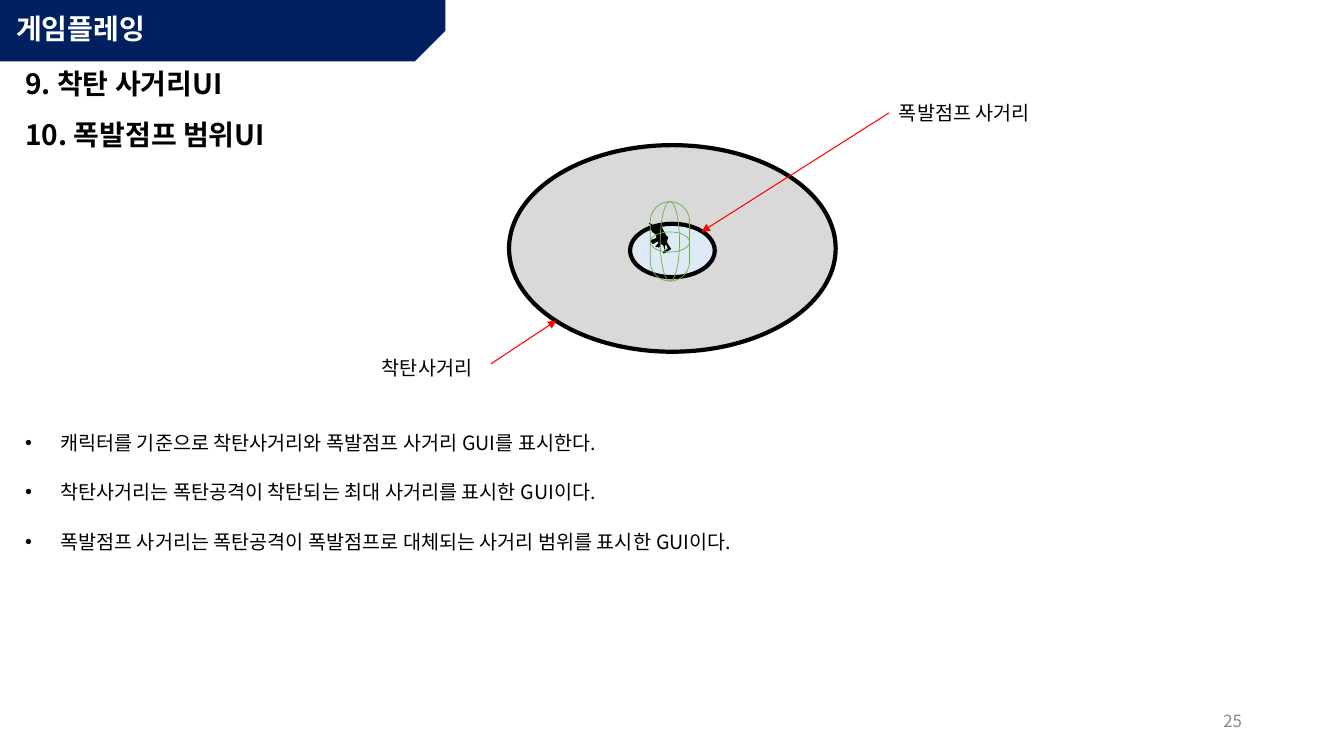
from dataclasses import dataclass
from typing import Optional

from lxml import etree
from pptx import Presentation
from pptx import util as u
from pptx.dml.color import RGBColor
from pptx.enum import shapes, text
from pptx.oxml import ns

WIDTH, HEIGHT = u.Inches(13.33), u.Inches(7.5)
SANS, LABEL_FONT = "Noto Sans CJK KR", "Arial"
NAVY = RGBColor(0x00, 0x20, 0x60)
WHITE = RGBColor(0xFF, 0xFF, 0xFF)
BLACK = RGBColor(0x00, 0x00, 0x00)
GREY = RGBColor(0x88, 0x88, 0x88)
RANGE_GREY = RGBColor(0xD9, 0xD9, 0xD9)
JUMP_BLUE = RGBColor(0xDE, 0xEB, 0xF7)
RED = RGBColor(0xFF, 0x00, 0x00)
GREEN = RGBColor(0x70, 0xAD, 0x47)
OVAL = shapes.MSO_SHAPE.OVAL
CAPSULE = shapes.MSO_SHAPE.ROUNDED_RECTANGLE


@dataclass(frozen=True)
class Box:
    """Percent shares of the slide's width and height."""
    left: float
    top: float
    width: float
    height: float

    def emu(self) -> tuple[int, int, int, int]:
        return (across(self.left), down(self.top),
                across(self.width), down(self.height))


@dataclass(frozen=True)
class Style:
    size: float
    color: RGBColor = BLACK
    bold: bool = False
    font: str = SANS


@dataclass(frozen=True)
class Figure:
    kind: shapes.MSO_SHAPE
    box: Box
    line: Optional[RGBColor]
    weight: float = 0
    fill: Optional[RGBColor] = None


@dataclass(frozen=True)
class Callout:
    words: str
    box: Box
    start: tuple[float, float]
    end: tuple[float, float]


HEADER = Figure(shapes.MSO_SHAPE.SNIP_1_RECTANGLE,
                Box(0, 0, 33.15, 8.13), None, fill=NAVY)
RANGES = [
    Figure(OVAL, Box(37.88, 19.2, 24.3, 27.33), BLACK, 3, RANGE_GREY),
    Figure(OVAL, Box(46.88, 29.6, 6.3, 7.07), BLACK, 3, JUMP_BLUE),
]
COLLIDER = [
    Figure(CAPSULE, Box(48.38, 26.67, 2.93, 10.53), GREEN, 0.5),
    Figure(OVAL, Box(49.13, 26.67, 1.43, 10.53), GREEN, 0.5),
    Figure(OVAL, Box(48.38, 30.67, 2.93, 2.67), GREEN, 0.5),
]
CALLOUTS = [
    Callout("폭발점프 사거리", Box(66.15, 12.67, 12.23, 4.53),
            (66.15, 14.93), (52.2, 30.67)),
    Callout("착탄사거리", Box(27.68, 46.4, 8.85, 4.53),
            (36.53, 48.13), (41.4, 42.4)),
]
HEADINGS = ["9. 착탄 사거리UI", "10. 폭발점프 범위UI"]
HEADING_TOP, HEADING_STEP = 5.87, 6.8
BULLETS = [
    "캐릭터를 기준으로 착탄사거리와 폭발점프 사거리 GUI를 표시한다.",
    "착탄사거리는 폭탄공격이 착탄되는 최대 사거리를 표시한 GUI이다.",
    "폭발점프 사거리는 폭탄공격이 폭발점프로 대체되는 사거리 범위를 표시한 GUI이다.",
]
SOLDIER = [
    (6.49, 2.43), (6.48, 2.42), (6.52, 2.37), (6.49, 2.34), (6.46, 2.34),
    (6.42, 2.32), (6.42, 2.29), (6.38, 2.28), (6.43, 2.28), (6.46, 2.26),
    (6.5, 2.25), (6.59, 2.31), (6.61, 2.31), (6.62, 2.36), (6.69, 2.4),
    (6.67, 2.44), (6.65, 2.47), (6.64, 2.46), (6.65, 2.44), (6.67, 2.41),
    (6.63, 2.38), (6.62, 2.4), (6.64, 2.43), (6.61, 2.4), (6.58, 2.4),
    (6.58, 2.44), (6.55, 2.45), (6.56, 2.41), (6.54, 2.39), (6.51, 2.44),
]


def across(share: float) -> int:
    return round(WIDTH * share / 100)


def down(share: float) -> int:
    return round(HEIGHT * share / 100)


def write(p, words: str, style: Style) -> None:
    r = p.add_run()
    r.text = words
    r.font.size = u.Pt(style.size)
    r.font.bold = style.bold
    r.font.name = style.font
    r.font.color.rgb = style.color
    etree.SubElement(r.font._element, ns.qn("a:ea"), typeface=SANS)


def add_text(slide, box: Box, lines: list[str], style: Style, wrap: bool = True,
             spacing: float = 1, indent: float = 0, bullet: bool = False):
    tf = slide.shapes.add_textbox(*box.emu()).text_frame
    tf.word_wrap = wrap
    for i, words in enumerate(lines):
        p = tf.paragraphs[0] if i == 0 else tf.add_paragraph()
        props = p._p.get_or_add_pPr()
        props.set("marL", str(u.Inches(indent)))
        if bullet:
            props.set("indent", str(u.Inches(-0.35)))
            etree.SubElement(props, ns.qn("a:buFont"), typeface="Arial")
            etree.SubElement(props, ns.qn("a:buChar"), char="•")
        p.line_spacing = spacing
        if i:
            p.space_before = u.Pt(10)
        write(p, words, style)
    return tf


def paint(sp, fill: Optional[RGBColor], line: Optional[RGBColor],
          weight: float) -> None:
    sp.shadow.inherit = False
    if fill is None:
        sp.fill.background()
    else:
        sp.fill.solid()
        sp.fill.fore_color.rgb = fill
    if line is None:
        sp.line.fill.background()
    else:
        sp.line.color.rgb = line
        sp.line.width = u.Pt(weight)


def add_figure(slide, figure: Figure):
    sp = slide.shapes.add_shape(figure.kind, *figure.box.emu())
    if figure.kind != OVAL:
        sp.adjustments[0] = 0.5
    paint(sp, figure.fill, figure.line, figure.weight)
    return sp


def add_callout(slide, callout: Callout) -> None:
    (x1, y1), (x2, y2) = callout.start, callout.end
    arrow = slide.shapes.add_connector(shapes.MSO_CONNECTOR.STRAIGHT,
                                       across(x1), down(y1), across(x2), down(y2))
    arrow.line.color.rgb = RED
    arrow.line.width = u.Pt(0.75)
    etree.SubElement(arrow.line._get_or_add_ln(), ns.qn("a:tailEnd"), type="triangle")
    etree.SubElement(arrow._element.spPr, ns.qn("a:effectLst"))
    add_text(slide, callout.box, [callout.words], Style(14, font=LABEL_FONT), wrap=False)


def add_soldier(slide) -> None:
    points = [(across(x / 13.33 * 100), down(y / 7.5 * 100)) for x, y in SOLDIER]
    outline = slide.shapes.build_freeform(*points[0])
    outline.add_line_segments(points[1:], close=True)
    sp = outline.convert_to_shape()
    sp.rotation = 28.7
    paint(sp, BLACK, BLACK, 0.5)


def add_header(slide) -> None:
    banner = add_figure(slide, HEADER)
    banner._element.spPr.xfrm.set("flipV", "1")
    slide.shapes._spTree.insert(2, banner._element)
    title = slide.shapes.title
    title.left, title.top, title.width, title.height = Box(0.45, 0.93, 30.23, 6.13).emu()
    tf = title.text_frame
    tf.vertical_anchor = text.MSO_ANCHOR.MIDDLE
    p = tf.paragraphs[0]
    p.alignment = text.PP_ALIGN.LEFT
    p.line_spacing = 0.9
    write(p, "게임플레잉", Style(20, WHITE, True))


def main() -> None:
    prs = Presentation()
    prs.slide_width, prs.slide_height = WIDTH, HEIGHT
    slide = prs.slides.add_slide(prs.slide_layouts[5])
    add_header(slide)
    page = add_text(slide, Box(70.65, 92.67, 22.5, 5.33), ["25"], Style(12, GREY))
    page.vertical_anchor = text.MSO_ANCHOR.MIDDLE
    page.paragraphs[0].alignment = text.PP_ALIGN.RIGHT
    add_text(slide, Box(0, 54.8, 100, 37.6), BULLETS, Style(14),
             spacing=1.5, indent=0.5, bullet=True)
    for figure in RANGES:
        add_figure(slide, figure)
    for callout in CALLOUTS:
        add_callout(slide, callout)
    add_soldier(slide)
    for figure in COLLIDER:
        add_figure(slide, figure)
    for i, heading in enumerate(HEADINGS):
        add_text(slide, Box(0, HEADING_TOP + i * HEADING_STEP, 38.18, 10.93), [heading],
                 Style(20, bold=True), spacing=1.5, indent=0.15)
    prs.save("out.pptx")


if __name__ == "__main__":
    main()
